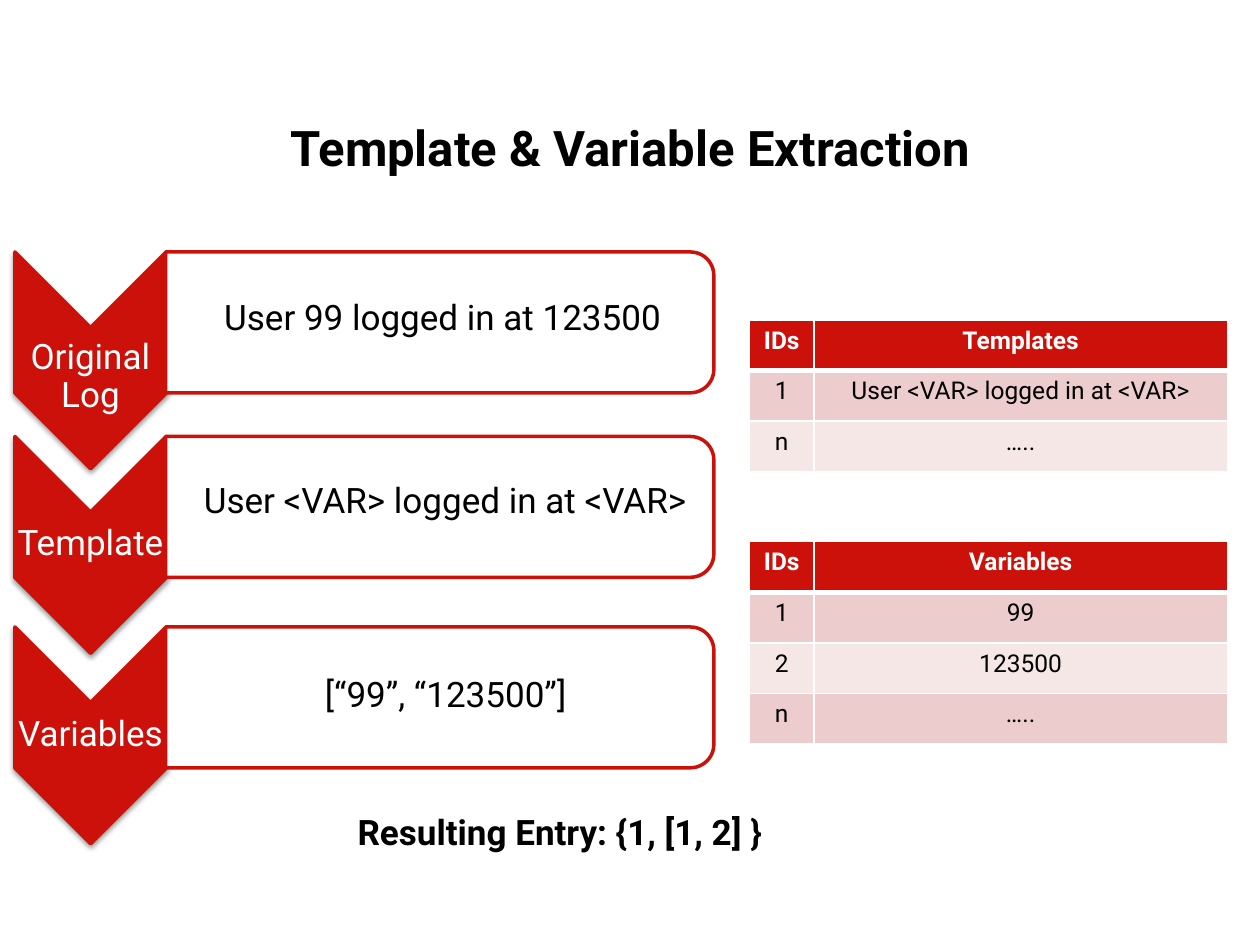
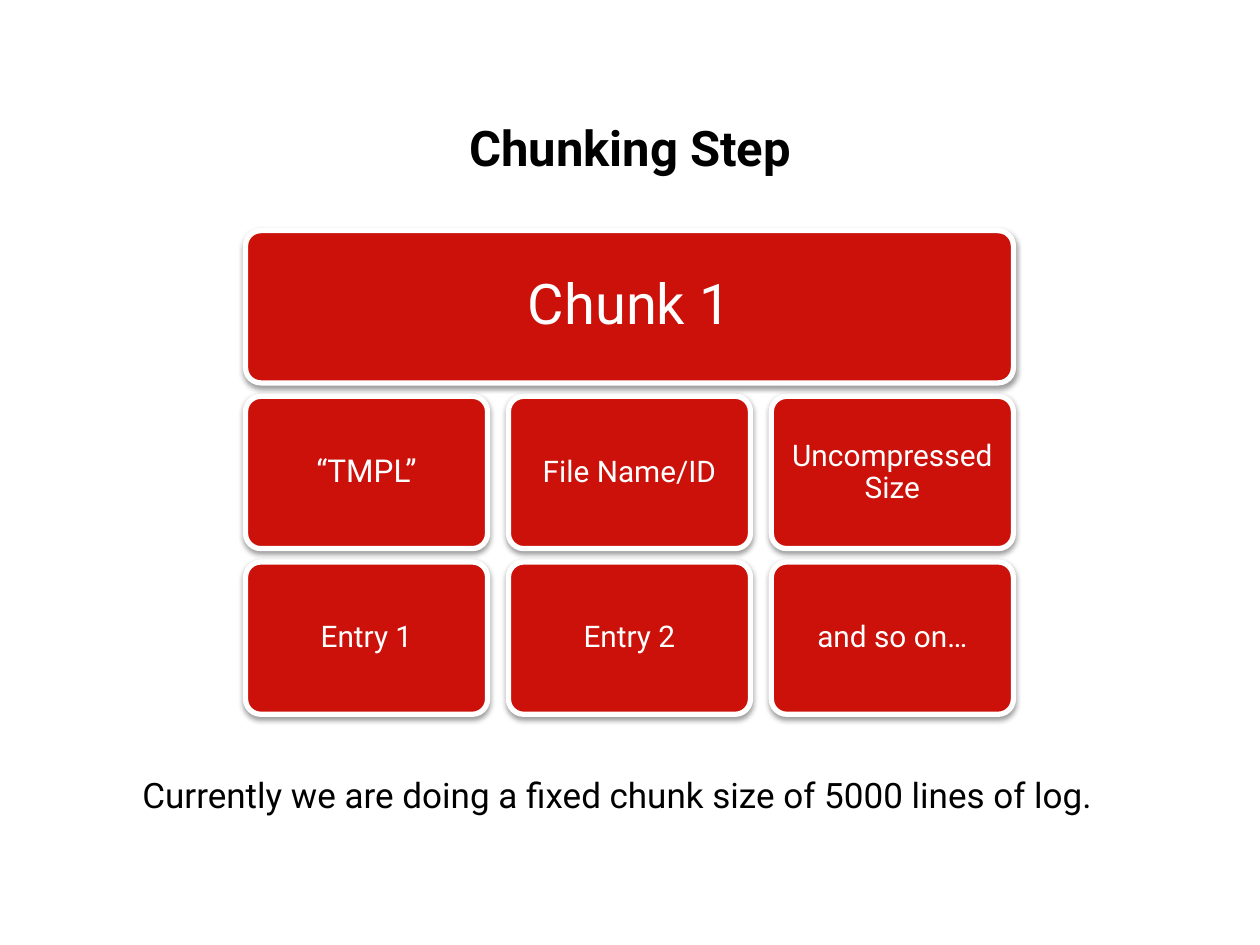
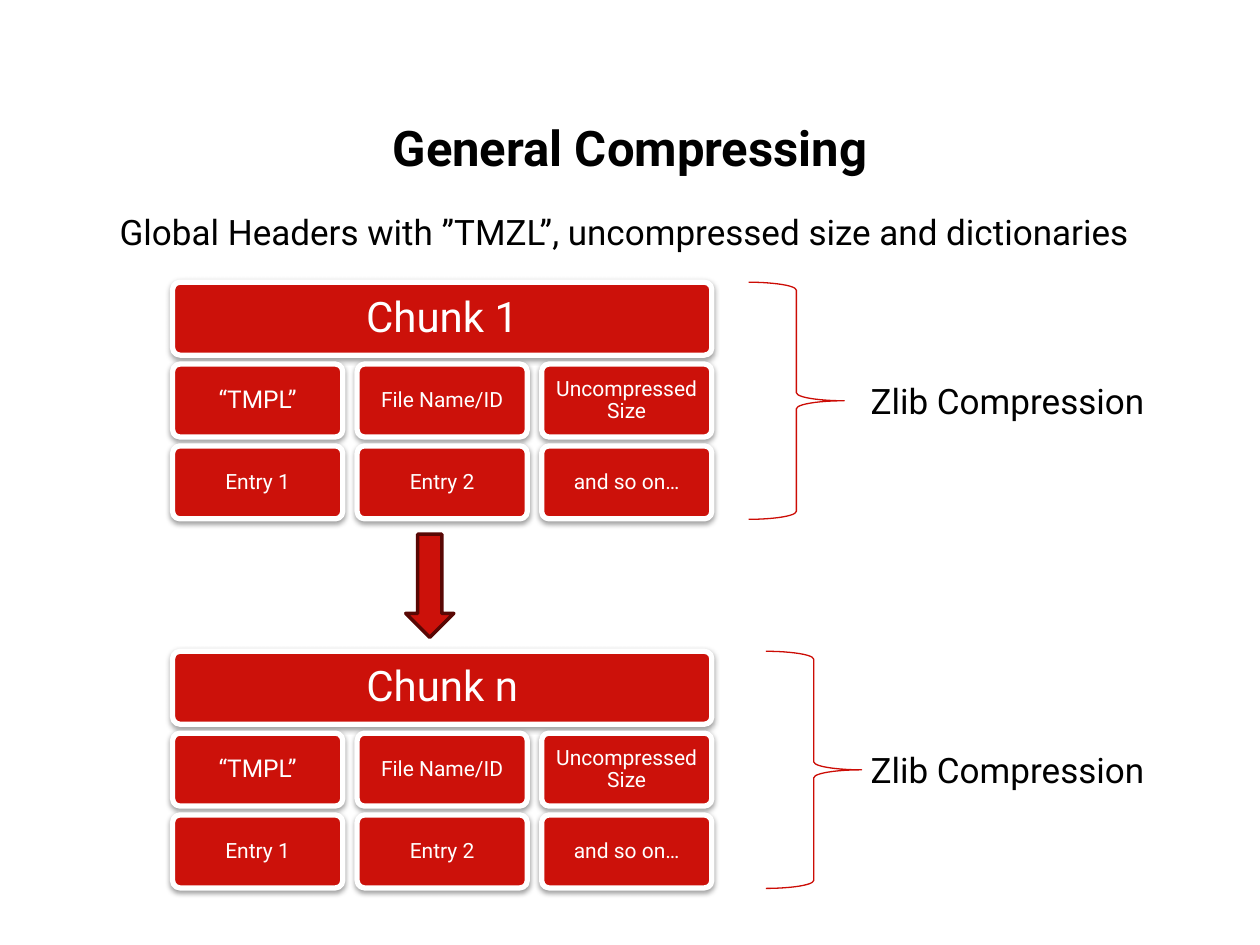
from lxml import etree
from pptx import Presentation
from pptx.dml.color import RGBColor
from pptx.enum.shapes import MSO_SHAPE as Preset
from pptx.enum.text import MSO_ANCHOR as Anchor, PP_ALIGN as Align
from pptx.oxml.ns import qn
from pptx.util import Cm, Pt

RED = RGBColor(0xCC, 0x11, 0x0A)
BRACE_RED = RGBColor(0xCC, 0x0C, 0x05)
DARK_RED = RGBColor(0x59, 0x07, 0x04)
ROW_TINTS = (RGBColor(0xEC, 0xCC, 0xCC), RGBColor(0xF6, 0xE7, 0xE7))
WHITE = RGBColor(0xFF, 0xFF, 0xFF)
BLACK = RGBColor(0, 0, 0)


class Slides:
    font = "Roboto"

    def __init__(self):
        self.deck = Presentation()
        self.deck.slide_width = Cm(25.4)
        self.deck.slide_height = Cm(19.05)
        self.page = None

    def add_page(self, title):
        self.page = self.deck.slides.add_slide(self.deck.slide_layouts[6])
        self.text(title, 1.27, 2.03, 22.86, 1.88, size=28, bold=True,
                  align=Align.CENTER, anchor=Anchor.MIDDLE)

    def fill_frame(self, frame, text, size, color=BLACK, bold=False, align=Align.LEFT,
                   spacing=None):
        para = frame.paragraphs[0]
        para.alignment = align
        para.line_spacing = spacing
        for number, line in enumerate(text.split("\n")):
            if number:
                para.add_line_break()
            span = para.add_run()
            span.text = line
            span.font.name = self.font
            span.font.size = Pt(size)
            span.font.bold = bold
            span.font.color.rgb = color

    def set_margins(self, frame, margin):
        frame.margin_left = frame.margin_right = Cm(margin)
        frame.margin_top = frame.margin_bottom = Cm(margin)

    def text(self, text, left, top, width, height=1.12, size=20, anchor=Anchor.TOP,
             margin=None, **style):
        box = self.page.shapes.add_textbox(Cm(left), Cm(top), Cm(width), Cm(height))
        frame = box.text_frame
        frame.word_wrap = True
        frame.vertical_anchor = anchor
        if margin is not None:
            self.set_margins(frame, margin)
        self.fill_frame(frame, text, size, **style)

    def shape(self, preset, left, top, width, height, fill, line, weight, shadow=False):
        shape = self.page.shapes.add_shape(preset, Cm(left), Cm(top), Cm(width), Cm(height))
        if fill is None:
            shape.fill.background()
        else:
            shape.fill.solid()
            shape.fill.fore_color.rgb = fill
        shape.line.color.rgb = line
        shape.line.width = Pt(weight)
        shape.shadow.inherit = False
        if shadow:
            self.cast_shadow(shape)
        return shape

    def cast_shadow(self, shape):
        effects = shape._element.spPr.find(qn("a:effectLst"))
        outer = etree.SubElement(effects, qn("a:outerShdw"), blurRad=str(Pt(3.1)),
                                 dist=str(Pt(1.6)), dir="5400000", rotWithShape="0")
        color = etree.SubElement(outer, qn("a:srgbClr"), val=str(BLACK))
        etree.SubElement(color, qn("a:alpha"), val="38000")

    def turned_shape(self, preset, left, top, width, height, *look, **options):
        shift = (width - height) / 2
        shape = self.shape(preset, left + shift, top - shift, height, width, *look, **options)
        shape.rotation = 90

    def step(self, top, label, label_drop=0):
        self.turned_shape(Preset.CHEVRON, 0.3, top, 3.05, 4.37, RED, RED, 2, shadow=True)
        self.text(label, 0.3, top + 1.52 + label_drop, 3.05, 1.32, color=WHITE, margin=0.03,
                  align=Align.CENTER, anchor=Anchor.MIDDLE, spacing=0.9)
        self.turned_shape(Preset.ROUND_2_SAME_RECTANGLE, 3.34, top, 11.05, 2.84, WHITE, RED, 2)

    def tile(self, text, left, top, width, height, size, margin):
        tile = self.shape(Preset.ROUNDED_RECTANGLE, left, top, width, height, RED, WHITE, 3,
                          shadow=True)
        tile.adjustments[0] = 0.1
        frame = tile.text_frame
        frame.word_wrap = True
        frame.vertical_anchor = Anchor.MIDDLE
        self.set_margins(frame, margin)
        self.fill_frame(frame, text, size, WHITE, align=Align.CENTER, spacing=0.9)

    def chunk(self, name, left, top, cell, pitch, sizes, margin):
        width, height = cell
        across, down = pitch
        name_size, tag_size, size = sizes
        self.tile(name, left, top, 2 * across + width, height, name_size, margin)
        rows = (("“TMPL”", "File Name/ID", "Uncompressed\nSize"),
                ("Entry 1", "Entry 2", "and so on…"))
        for row, labels in enumerate(rows, start=1):
            for column, label in enumerate(labels):
                self.tile(label, left + column * across, top + row * down, width, height,
                          tag_size if label == "“TMPL”" else size, margin)

    def small_chunk(self, name, top):
        self.chunk(name, 3.48, top, (3.43, 1.47), (3.72, 1.65), (24, 14, 12), 0.13)

    def brace(self, left, top):
        self.shape(Preset.RIGHT_BRACE, left, top, 1.93, 4.78, None, BRACE_RED, 0.75)
        self.text("Zlib Compression", 17.3, top + 1.83, 6.2)

    def borders(self, cell, bottom):
        properties = cell._tc.get_or_add_tcPr()
        for side, weight in (("lnL", 1), ("lnR", 1), ("lnT", 1), ("lnB", bottom)):
            line = etree.SubElement(properties, qn(f"a:{side}"), w=str(Pt(weight)))
            fill = etree.SubElement(line, qn("a:solidFill"))
            etree.SubElement(fill, qn("a:srgbClr"), val=str(WHITE))

    def table(self, top, rows):
        row_height = 1.02
        table = self.page.shapes.add_table(len(rows), 2, Cm(15.11), Cm(top), Cm(9.63),
                                           Cm(row_height * len(rows))).table
        table.columns[0].width = Cm(1.3)
        table.columns[1].width = Cm(8.33)
        for number, values in enumerate(rows):
            header = number == 0
            for column, value in enumerate(values):
                cell = table.cell(number, column)
                self.borders(cell, 3 if header else 1)
                cell.fill.solid()
                cell.fill.fore_color.rgb = RED if header else ROW_TINTS[(number - 1) % 2]
                self.fill_frame(cell.text_frame, value, 14, WHITE if header else BLACK, header,
                                Align.CENTER)


def extraction(slides):
    slides.add_page("Template & Variable Extraction")
    slides.step(5.08, "Original\nLog", label_drop=0.35)
    slides.step(8.8, "Template")
    slides.step(12.64, "Variables")
    slides.text("User 99 logged in at 123500", 4.27, 5.84, 9.6)
    slides.text("User <VAR> logged in at <VAR>", 3.86, 9.53, 10.4)
    slides.text("[“99”, “123500”]", 6.3, 13.44, 5.6)
    slides.table(6.45, [("IDs", "Templates"), ("1", "User <VAR> logged in at <VAR>"),
                        ("n", "…..")])
    slides.table(10.92, [("IDs", "Variables"), ("1", "99"), ("2", "123500"), ("n", "…..")])
    slides.text("Resulting Entry: {1, [1, 2] }", 6.96, 16.21, 11.5, bold=True)


def chunking(slides):
    slides.add_page("Chunking Step")
    slides.chunk("Chunk 1", 4.95, 4.65, (4.88, 3.07), (5.3, 3.34), (32, 18, 17), 0.18)
    slides.text("Currently we are doing a fixed chunk size of 5000 lines of log.", 2.62, 15.47, 20.2)


def compressing(slides):
    slides.add_page("General Compressing")
    first_top, last_top = 5.69, 13.13
    slides.small_chunk("Chunk 1", first_top)
    slides.small_chunk("Chunk n", last_top)
    slides.shape(Preset.DOWN_ARROW, 8.18, 10.77, 0.97, 2.08, RED, DARK_RED, 2)
    slides.brace(15.09, first_top)
    slides.brace(15.44, last_top)
    slides.text("Global Headers with ”TMZL”, uncompressed size and dictionaries", 2.16, 4.11, 21.2)


def main():
    slides = Slides()
    extraction(slides)
    chunking(slides)
    compressing(slides)
    slides.deck.save("out.pptx")


if __name__ == "__main__":
    main()
